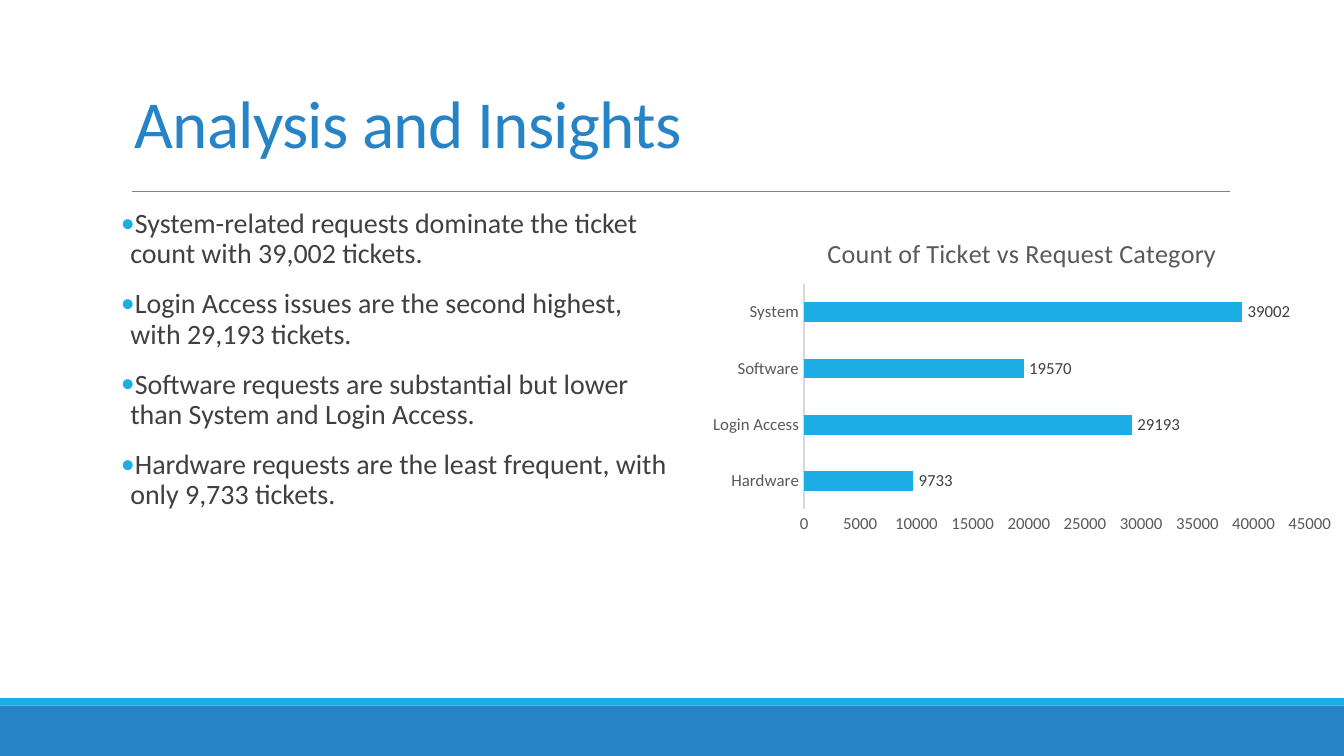
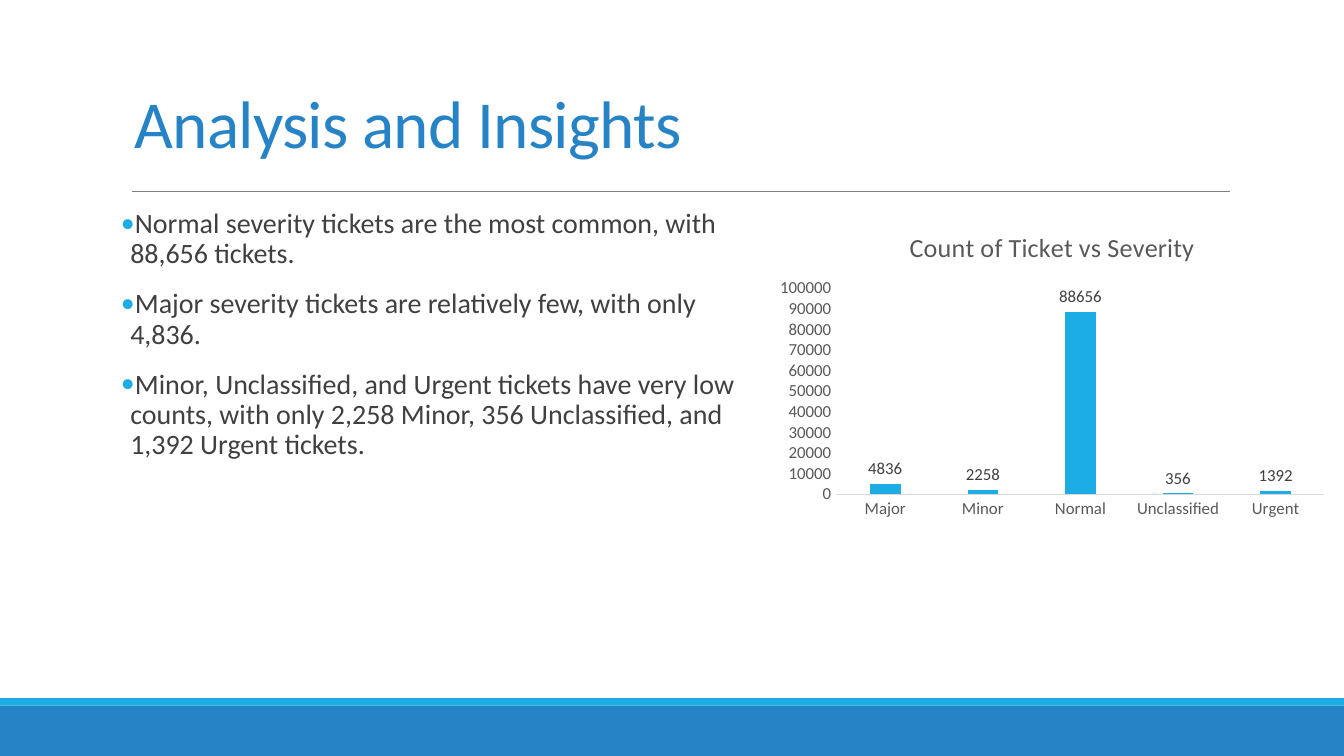
from dataclasses import dataclass

from lxml.etree import SubElement
from pptx import Presentation
from pptx.chart.data import CategoryChartData
from pptx.dml.color import RGBColor
from pptx.enum.chart import XL_CHART_TYPE, XL_LABEL_POSITION, XL_TICK_MARK
from pptx.enum.shapes import MSO_CONNECTOR, MSO_SHAPE
from pptx.enum.text import MSO_ANCHOR, MSO_AUTO_SIZE, PP_ALIGN
from pptx.oxml.ns import qn
from pptx.util import Pt

WHITE = RGBColor(0xFF, 0xFF, 0xFF)
BLACK = RGBColor(0x00, 0x00, 0x00)
BLUE = RGBColor(0x26, 0x83, 0xC6)
CYAN = RGBColor(0x1C, 0xAD, 0xE4)
RULE_GRAY = RGBColor(0x80, 0x80, 0x80)
AXIS_GRAY = RGBColor(0xD9, 0xD9, 0xD9)
LABEL_GRAY = RGBColor(0x59, 0x59, 0x59)
TEXT_GRAY = RGBColor(0x40, 0x40, 0x40)

FONT = "Calibri"
PAGE_WIDTH, PAGE_HEIGHT = 720, 405
FOOTER_TOP, STRIP_HEIGHT = 378, 4
TITLE_ONLY = 5


@dataclass
class Box:
    left: float
    top: float
    width: float
    height: float

    def lengths(self):
        return Pt(self.left), Pt(self.top), Pt(self.width), Pt(self.height)


TITLE_BOX = Box(64.8, 17.3, 594, 73.4)


def style_font(font, size, color):
    font.name = FONT
    font.size = Pt(size)
    font.color.rgb = color
    font.bold = False


def add_band(page, box, color):
    band = page.shapes.add_shape(MSO_SHAPE.RECTANGLE, *box.lengths())
    band.shadow.inherit = False
    band.fill.solid()
    band.fill.fore_color.rgb = color
    band.line.fill.background()


def add_frame(page):
    """Draw the footer bands and the rule under the title."""
    add_band(page, Box(0, FOOTER_TOP, PAGE_WIDTH, PAGE_HEIGHT - FOOTER_TOP), BLUE)
    add_band(page, Box(0, FOOTER_TOP - STRIP_HEIGHT, PAGE_WIDTH, STRIP_HEIGHT), CYAN)
    rule = page.shapes.add_connector(
        MSO_CONNECTOR.STRAIGHT, Pt(70.6), Pt(102.6), Pt(658.8), Pt(102.6))
    rule.line.color.rgb = RULE_GRAY
    rule.line.width = Pt(0.5)
    SubElement(rule._element.spPr, qn("a:effectLst"))


def set_title(page, text, box):
    title = page.shapes.title
    title.left, title.top, title.width, title.height = box.lengths()
    frame = title.text_frame
    frame.text = text
    frame.auto_size = MSO_AUTO_SIZE.NONE
    frame.vertical_anchor = MSO_ANCHOR.BOTTOM
    para = frame.paragraphs[0]
    para.alignment = PP_ALIGN.LEFT
    para.line_spacing = 0.85
    style_font(para.font, 36, BLUE)
    para.runs[0].font._element.set("spc", "-40")


def add_bullet(para):
    properties = para._p.get_or_add_pPr()
    properties.set("marL", str(Pt(5)))
    properties.set("indent", str(-Pt(5)))
    color = SubElement(properties, qn("a:buClr"))
    SubElement(color, qn("a:srgbClr"), val=str(CYAN))
    SubElement(properties, qn("a:buFont"), typeface=FONT)
    SubElement(properties, qn("a:buChar"), char="•")


def add_findings(page, findings, box):
    frame = page.shapes.add_textbox(*box.lengths()).text_frame
    frame.word_wrap = True
    frame.margin_left = frame.margin_right = 0
    for index, finding in enumerate(findings):
        para = frame.add_paragraph() if index else frame.paragraphs[0]
        para.text = finding
        para.line_spacing = 0.9
        para.space_before = Pt(9)
        para.space_after = Pt(1.5)
        add_bullet(para)
        style_font(para.font, 15, TEXT_GRAY)


def style_axis(axis):
    axis.has_major_gridlines = False
    axis.major_tick_mark = axis.minor_tick_mark = XL_TICK_MARK.NONE
    style_font(axis.tick_labels.font, 9, LABEL_GRAY)


def add_ticket_chart(page, kind, title, counts, gap, overlap, box):
    data = CategoryChartData()
    data.categories = list(counts)
    data.add_series("Series 1", list(counts.values()))
    chart = page.shapes.add_chart(kind, *box.lengths(), data).chart
    style_font(chart.font, 10, BLACK)
    chart.has_legend = False

    chart.has_title = True
    chart.chart_title.include_in_layout = False
    heading = chart.chart_title.text_frame
    heading.text = title
    style_font(heading.paragraphs[0].font, 14, LABEL_GRAY)

    style_axis(chart.category_axis)
    chart.category_axis.format.line.color.rgb = AXIS_GRAY
    chart.category_axis.format.line.width = Pt(0.75)
    style_axis(chart.value_axis)
    chart.value_axis.format.line.fill.background()

    plot = chart.plots[0]
    plot.vary_by_categories = False
    plot.gap_width = gap
    plot.overlap = overlap
    series = plot.series[0]
    series.format.fill.solid()
    series.format.fill.fore_color.rgb = CYAN
    labels = series.data_labels
    labels.show_value = True
    labels.position = XL_LABEL_POSITION.OUTSIDE_END
    style_font(labels.font, 9, TEXT_GRAY)


def add_analysis_page(deck, findings, findings_width):
    page = deck.slides.add_slide(deck.slide_layouts[TITLE_ONLY])
    page.background.fill.solid()
    page.background.fill.fore_color.rgb = WHITE
    add_frame(page)
    set_title(page, "Analysis and Insights", TITLE_BOX)
    add_findings(page, findings, Box(TITLE_BOX.left, 108.7, findings_width, 251.3))
    return page


def add_category_page(deck):
    page = add_analysis_page(deck, [
        "System-related requests dominate the ticket count with 39,002 tickets.",
        "Login Access issues are the second highest, with 29,193 tickets.",
        "Software requests are substantial but lower than System and Login Access.",
        "Hardware requests are the least frequent, with only 9,733 tickets.",
    ], 298.8)
    counts = {"Hardware": 9733, "Login Access": 29193, "Software": 19570, "System": 39002}
    add_ticket_chart(page, XL_CHART_TYPE.BAR_CLUSTERED, "Count of Ticket vs Request Category",
                     counts, 182, 0, Box(375.1, 115.9, 344.9, 173.5))


def add_severity_page(deck):
    page = add_analysis_page(deck, [
        "Normal severity tickets are the most common, with 88,656 tickets.",
        "Major severity tickets are relatively few, with only 4,836.",
        "Minor, Unclassified, and Urgent tickets have very low counts, "
        "with only 2,258 Minor, 356 Unclassified, and 1,392 Urgent tickets.",
    ], 332.6)
    counts = {"Major": 4836, "Minor": 2258, "Normal": 88656, "Unclassified": 356, "Urgent": 1392}
    add_ticket_chart(page, XL_CHART_TYPE.COLUMN_CLUSTERED, "Count of Ticket vs Severity",
                     counts, 219, -27, Box(411.8, 113, 303.8, 168.5))


def main():
    deck = Presentation()
    deck.slide_width, deck.slide_height = Pt(PAGE_WIDTH), Pt(PAGE_HEIGHT)
    add_category_page(deck)
    add_severity_page(deck)
    deck.save("out.pptx")


if __name__ == "__main__":
    main()
